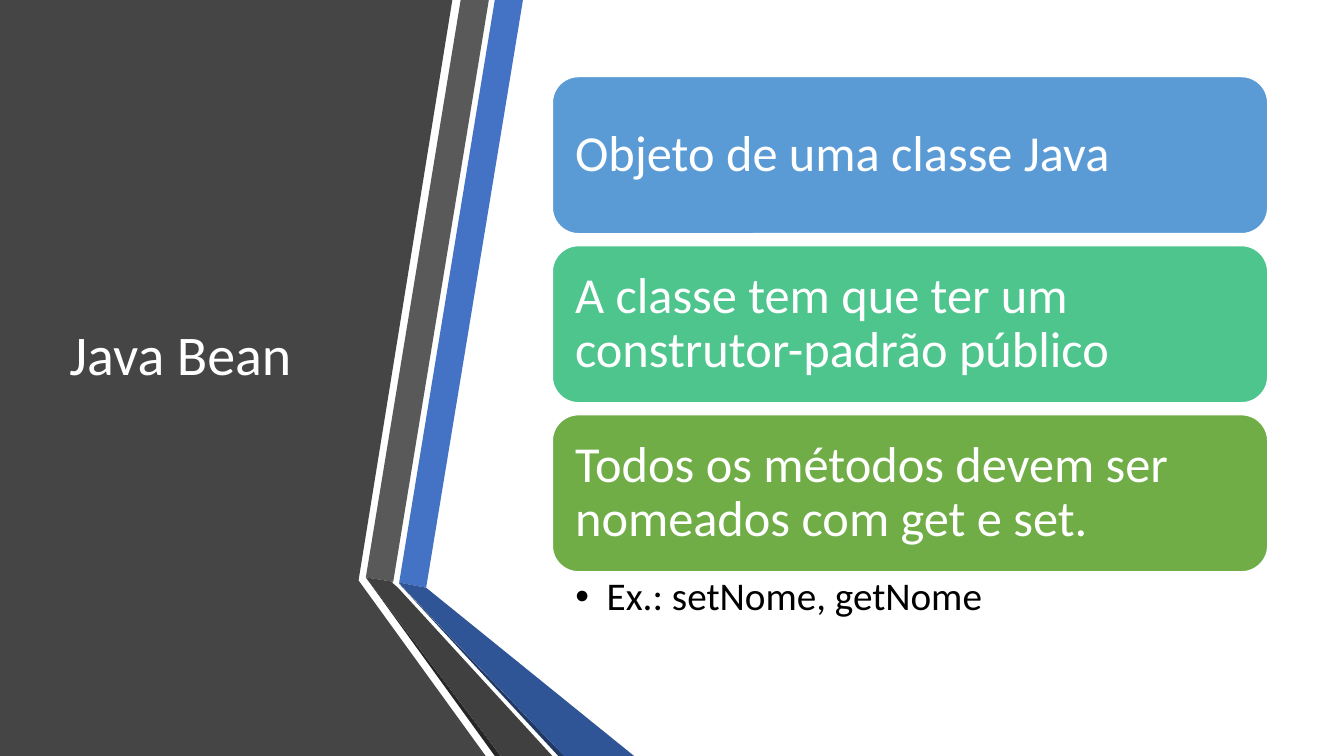
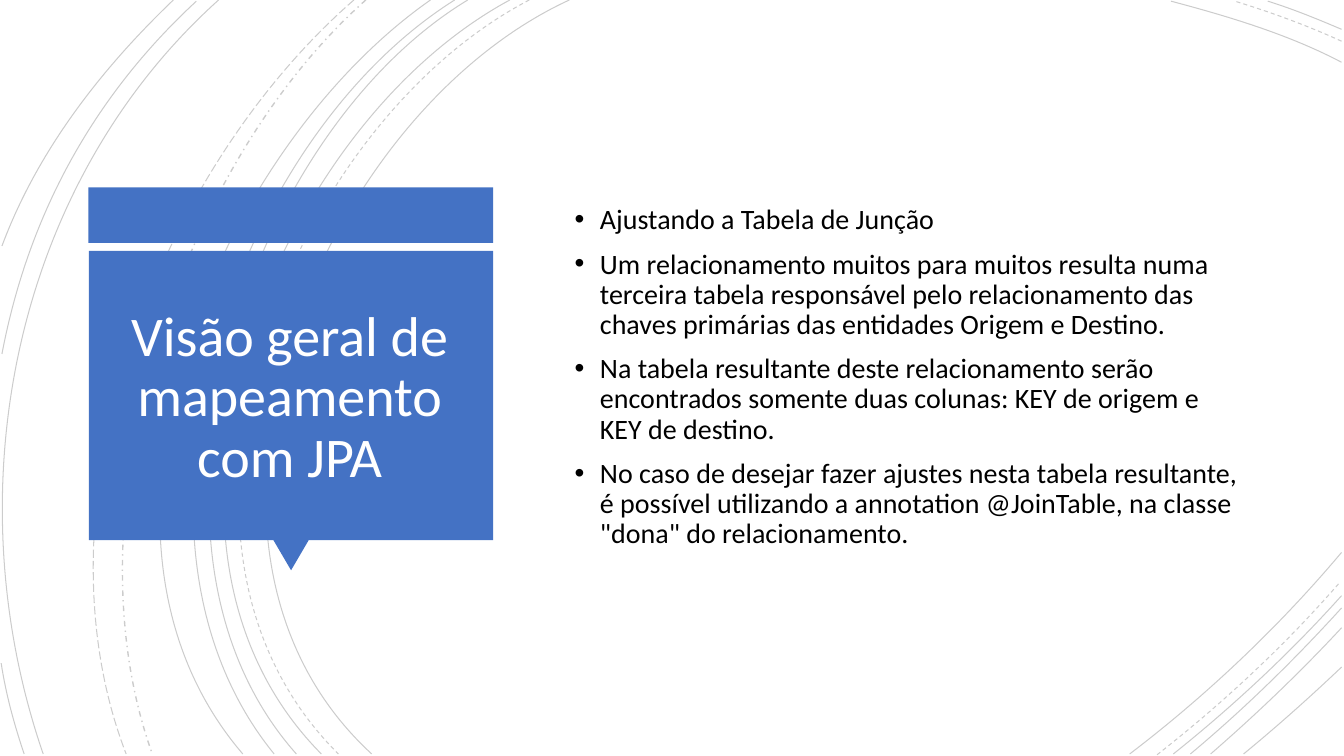
from lxml import etree
from pptx import Presentation
from pptx import util as u
from pptx.dml.color import RGBColor
from pptx.enum import dml, shapes, text
from pptx.oxml import ns

FONT = "Calibri"
COLORS = {
    "white": "FFFFFF", "black": "000000", "panel": "454545", "blue": "4472C4",
    "gray": "595959", "gray_fold": "404040", "gray_shade": "262626",
    "blue_fold": "2F5597", "blue_shade": "203864",
    "sky": "5B9BD5", "mint": "4DC58D", "green": "70AD47",
}
HEIGHT = 19.05
LEFT, CENTER = text.PP_ALIGN.LEFT, text.PP_ALIGN.CENTER
TOP, MIDDLE = text.MSO_ANCHOR.TOP, text.MSO_ANCHOR.MIDDLE
NORMAL_INSETS = (0.25, 0.13, 0.25, 0.13)

RIBBONS = [
    ("panel", [(8.97, 0), (11.4, 0), (9.04, 14.61), (9.04, 14.63), (12.24, HEIGHT),
               (9.04, HEIGHT), (8.08, HEIGHT), (0, HEIGHT), (0, 0)]),
    ("blue", [(10.06, 14.68), (10.74, 14.81), (13.18, 0), (12.47, 0)]),
    ("gray", [(12.32, 0), (11.61, 0), (9.22, 14.55), (9.91, 14.66)]),
    ("gray_shade", [(9.22, 14.55), (12.47, HEIGHT), (12.62, HEIGHT)]),
    ("blue_shade", [(10.06, 14.71), (14.07, HEIGHT), (14.22, HEIGHT)]),
    ("blue_fold", [(10.06, 14.7), (14.22, HEIGHT), (15.98, HEIGHT), (10.74, 14.81), (10.06, 14.68)]),
    ("gray_fold", [(13.92, HEIGHT), (10.03, 14.81), (9.88, 14.68), (9.91, 14.66),
                   (9.22, 14.55), (12.62, HEIGHT)]),
]

CARDS = [
    ("sky", "Objeto de uma classe Java"),
    ("mint", "A classe tem que ter um construtor-padrão público"),
    ("green", "Todos os métodos devem ser nomeados com get e set."),
]

ARCS = {
    dml.MSO_LINE.SOLID: [
        [(14.35, 0), (8, 2.92), (3.63, 13.72), (9.37, 19)],
        [(33.81, 1.57), (32.46, 0.86), (30.94, 0.41), (29.51, 0.03)],
        [(28.47, 19), (30.4, 17.53), (32.23, 15.8), (33.81, 13.92)],
        [(12.85, 0), (6.86, 3.23), (2.79, 13.64), (8.1, 19)],
        [(33.81, 0.74), (33.2, 0.48), (32.59, 0.23), (31.95, 0.03)],
        [(29.57, 19), (31.06, 17.81), (32.51, 16.46), (33.81, 15.01)],
        [(11.79, 0), (6.2, 3.38), (2.79, 13.74), (7.47, 19)],
        [(30, 19), (31.34, 17.88), (32.61, 16.64), (33.81, 15.32)],
        [(11.46, 0), (5.87, 3.51), (2.46, 13.54), (6.91, 19)],
        [(30.51, 19), (31.65, 18.01), (32.77, 16.94), (33.81, 15.82)],
        [(10.85, 0), (5.51, 3.73), (1.35, 13.44), (6.12, 19)],
        [(31.34, 19), (32.18, 18.31), (33, 17.58), (33.81, 16.81)],
        [(5.51, 0), (0.28, 4.7), (-1.17, 12.45), (1.09, 19)],
        [(4.95, 0.03), (2.34, 2.44), (0.71, 5.44), (0.05, 8.92)],
        [(0.03, 16.71), (0.15, 17.5), (0.36, 18.26), (0.61, 19)],
        [(4.37, 0), (2.54, 1.75), (0.94, 3.81), (0.05, 6.2)],
    ],
    dml.MSO_LINE.DASH: [
        [(13.34, 0), (7.24, 3.18), (3.12, 13.64), (8.53, 19)],
        [(33.81, 1.04), (32.94, 0.64), (32, 0.3), (31.12, 0.03)],
        [(29.16, 19.02), (30.81, 17.73), (32.39, 16.26), (33.78, 14.66)],
    ],
    dml.MSO_LINE.DASH_DOT: [[(9.22, 0), (4.47, 4.22), (1.65, 12.93), (3.84, 19)]],
    dml.MSO_LINE.LONG_DASH: [[(8.92, 0), (3.99, 4.29), (0.74, 12.67), (3.18, 19)]],
}

JOIN_TABLE_NOTES = [
    "Ajustando a Tabela de Junção",
    "Um relacionamento muitos para muitos resulta numa terceira tabela responsável "
    "pelo relacionamento das chaves primárias das entidades Origem e Destino.",
    "Na tabela resultante deste relacionamento serão encontrados somente duas colunas: "
    "KEY de origem e KEY de destino.",
    "No caso de desejar fazer ajustes nesta tabela resultante, é possível utilizando a "
    "annotation @JoinTable, na classe \"dona\" do relacionamento.",
]


def color(name):
    """Return the named palette colour."""
    return RGBColor.from_string(COLORS[name])


def paint(shape, fill, line=None):
    """Give a shape a flat fill, an optional thin outline and no shadow."""
    shape.shadow.inherit = False
    shape.fill.solid()
    shape.fill.fore_color.rgb = color(fill)
    if line:
        shape.line.color.rgb = color(line)
        shape.line.width = u.Pt(1)
    else:
        shape.line.fill.background()


def add_bullet(paragraph, indent):
    """Put a hanging round bullet before a paragraph."""
    properties = paragraph._p.get_or_add_pPr()
    properties.set("marL", str(u.Cm(indent)))
    properties.set("indent", str(-u.Cm(indent)))
    etree.SubElement(properties, ns.qn("a:buFont")).set("typeface", "Arial")
    etree.SubElement(properties, ns.qn("a:buChar")).set("char", "•")


def write(shape, lines, size, font_color, align=LEFT, anchor=MIDDLE,
          insets=NORMAL_INSETS, before=0, bullet=None):
    """Fill a shape with one formatted paragraph per line."""
    frame = shape.text_frame
    frame.word_wrap = True
    frame.auto_size = text.MSO_AUTO_SIZE.NONE
    frame.vertical_anchor = anchor
    (frame.margin_left, frame.margin_top,
     frame.margin_right, frame.margin_bottom) = map(u.Cm, insets)
    for index, line in enumerate(lines):
        paragraph = frame.add_paragraph() if index else frame.paragraphs[0]
        paragraph.alignment = align
        paragraph.line_spacing = 0.9
        paragraph.space_before = u.Pt(before)
        if bullet:
            add_bullet(paragraph, bullet)
        run = paragraph.add_run()
        run.text = line
        run.font.name = FONT
        run.font.size = u.Pt(size)
        run.font.color.rgb = color(font_color)


def add_title(slide, title, box, align):
    """Place the title placeholder in front of the decoration."""
    shape = slide.shapes.title
    shape.left, shape.top, shape.width, shape.height = map(u.Cm, box)
    write(shape, [title], 40, "white", align)
    shape.element.getparent().append(shape.element)


def add_block(slide, kind, box, fill, line=None):
    """Add a painted preset shape."""
    shape = slide.shapes.add_shape(kind, *map(u.Cm, box))
    paint(shape, fill, line)
    return shape


def add_bullets(slide, lines, box, size, **style):
    """Add a text box of bulleted paragraphs."""
    shape = slide.shapes.add_textbox(*map(u.Cm, box))
    write(shape, lines, size, "black", **style)


def add_outline(slide, points, close):
    """Add a freeform through points given in centimetres."""
    start, *rest = [(u.Cm(x), u.Cm(y)) for x, y in points]
    builder = slide.shapes.build_freeform(*start)
    builder.add_line_segments(rest, close=close)
    return builder.convert_to_shape()


def bend(shape):
    """Turn the three straight segments of a freeform into one cubic curve."""
    segments = list(shape.element.iter(ns.qn("a:lnTo")))
    curve = etree.SubElement(segments[0].getparent(), ns.qn("a:cubicBezTo"))
    for segment in segments:
        curve.append(segment[0])
        segment.getparent().remove(segment)


def add_arc(slide, controls, dash):
    """Add a faint open curve."""
    shape = add_outline(slide, controls, close=False)
    bend(shape)
    shape.shadow.inherit = False
    shape.fill.background()
    shape.line.color.rgb = color("black")
    shape.line.width = u.Pt(1 if dash == dml.MSO_LINE.DASH_DOT else 0.75)
    shape.line.dash_style = dash
    line_color = next(shape.line._ln.iter(ns.qn("a:srgbClr")))
    etree.SubElement(line_color, ns.qn("a:alpha")).set("val", "20000")


def build_java_bean(slide):
    """Build the slide with the folded ribbon and three cards."""
    for fill, points in RIBBONS:
        paint(add_outline(slide, points, close=True), fill)
    add_title(slide, "Java Bean", (1.5, 1.92, 7.72, 14.17), LEFT)
    left, width = 13.92, 18.03
    for index, (fill, line) in enumerate(CARDS):
        card = add_block(slide, shapes.MSO_SHAPE.ROUNDED_RECTANGLE,
                         (left, 1.93 + 4.26 * index, width, 3.96), fill, "white")
        write(card, [line], 36, "white", insets=(0.38,) * 4)
    add_bullets(slide, ["Ex.: setNome, getNome"], (left, 14.41, width, 1.65), 28,
                anchor=TOP, insets=(0.58, 0.13, 0.71, 0.13), bullet=0.79)


def build_jpa_mapping(slide):
    """Build the slide with the arcs, the callout title and the notes."""
    for dash, arcs in ARCS.items():
        for controls in arcs:
            add_arc(slide, controls, dash)
    rectangle = shapes.MSO_SHAPE.RECTANGLE
    add_block(slide, rectangle, (2.23, 4.72, 10.2, 1.4), "blue")
    add_block(slide, rectangle, (2.24, 6.32, 10.19, 7.29), "blue")
    pointer = add_block(slide, shapes.MSO_SHAPE.ISOSCELES_TRIANGLE,
                        (6.89, 13.61, 0.89, 0.76), "blue")
    pointer.rotation = 180
    add_title(slide, "Visão geral de mapeamento com JPA", (2.51, 6.72, 9.58, 6.65), CENTER)
    add_bullets(slide, JOIN_TABLE_NOTES, (14.23, 2.23, 17.45, 14.58), 20,
                before=10, bullet=0.64)


def main():
    """Build and save the presentation."""
    presentation = Presentation()
    presentation.slide_width = u.Cm(33.87)
    presentation.slide_height = u.Cm(HEIGHT)
    title_only = presentation.slide_layouts[5]
    for build in (build_java_bean, build_jpa_mapping):
        build(presentation.slides.add_slide(title_only))
    presentation.save("out.pptx")


if __name__ == "__main__":
    main()
